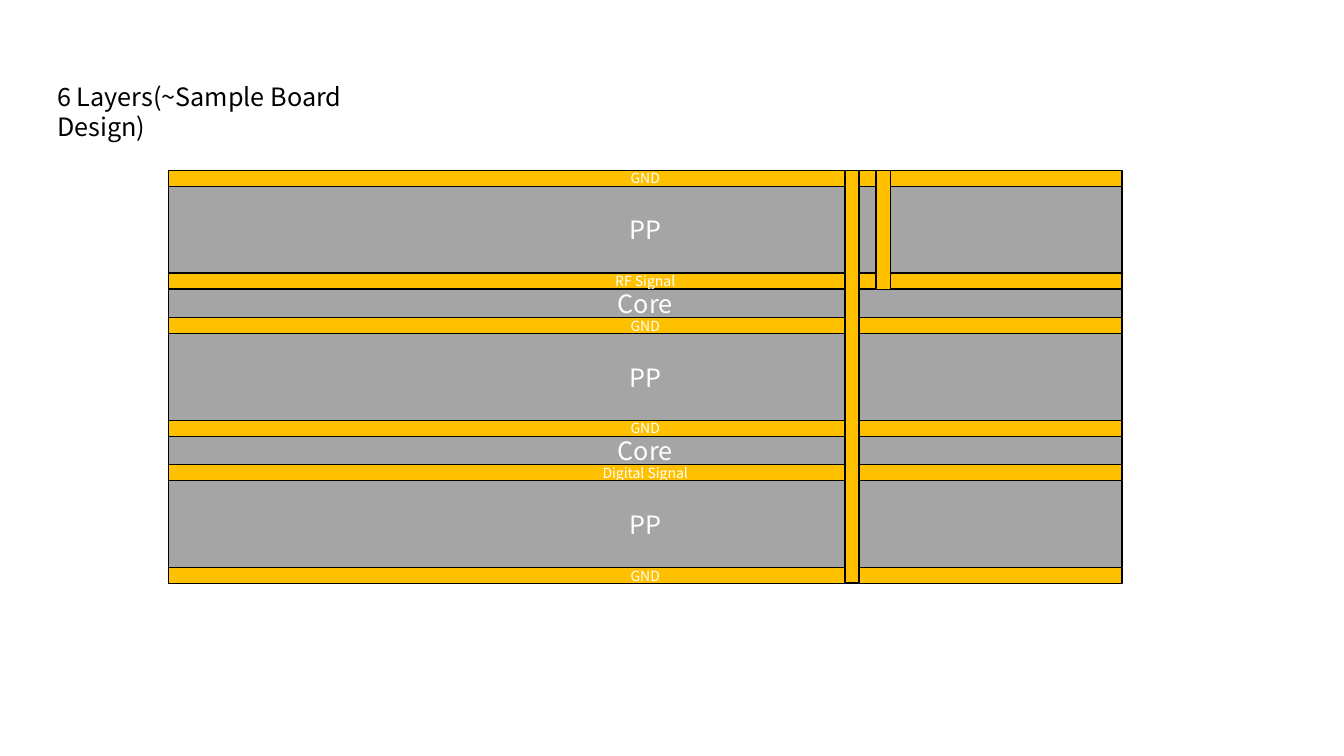
from pptx import Presentation
from pptx.dml.color import RGBColor
from pptx.enum.shapes import MSO_SHAPE as Shape
from pptx.enum.text import MSO_ANCHOR as Anchor, MSO_AUTO_SIZE as Fit, PP_ALIGN as Align
from pptx.util import Inches, Pt

FONT = "Noto Sans CJK KR"
GOLD, GRAY, BLACK, WHITE = "FFC000", "A5A5A5", "000000", "FFFFFF"


def add_run(para, text, size, color):
    run = para.add_run()
    run.text = text
    run.font.name = FONT
    run.font.size = Pt(size)
    run.font.color.rgb = RGBColor.from_string(color)


def add_bar(left, top, width, height, fill):
    bar = slide.shapes.add_shape(
        Shape.RECTANGLE, Inches(left), Inches(top), Inches(width), Inches(height))
    bar.shadow.inherit = False
    bar.fill.solid()
    bar.fill.fore_color.rgb = RGBColor.from_string(fill)
    bar.line.color.rgb = RGBColor.from_string(BLACK)
    bar.line.width = Pt(1)
    return bar


deck = Presentation()
deck.slide_width, deck.slide_height = Inches(13.33), Inches(7.5)
slide = deck.slides.add_slide(deck.slide_layouts[6])

# Title
title = slide.shapes.add_textbox(Inches(0.47), Inches(0.76), Inches(3.83), Inches(0.4))
title.text_frame.word_wrap = False
title.text_frame.auto_size = Fit.SHAPE_TO_FIT_TEXT
add_run(title.text_frame.paragraphs[0], "6 Layers(~Sample Board Design)", 18, BLACK)

# Board layers, stacked from top to bottom
kinds = {  # height, fill, text size
    "copper": (0.16, GOLD, 10),
    "prepreg": (0.86, GRAY, 18),
    "core": (0.28, GRAY, 18),
}
layers = [
    ("GND", "copper"),
    ("PP", "prepreg"),
    ("RF Signal", "copper"),
    ("Core", "core"),
    ("GND", "copper"),
    ("PP", "prepreg"),
    ("GND", "copper"),
    ("Core", "core"),
    ("Digital Signal", "copper"),
    ("PP", "prepreg"),
    ("GND", "copper"),
]
start = top = 1.69
for label, kind in layers:
    height, fill, size = kinds[kind]
    frame = add_bar(1.67, top, 9.46, height, fill).text_frame
    frame.word_wrap = True
    frame.vertical_anchor = Anchor.MIDDLE
    para = frame.paragraphs[0]
    para.alignment = Align.CENTER
    add_run(para, label, size, WHITE)
    top += height

# Vias: blind to the RF layer, then through the whole board
for left, depth in [(8.69, 1.18), (8.38, 4.09)]:
    add_bar(left, start, 0.14, depth, GOLD)

deck.save("out.pptx")
